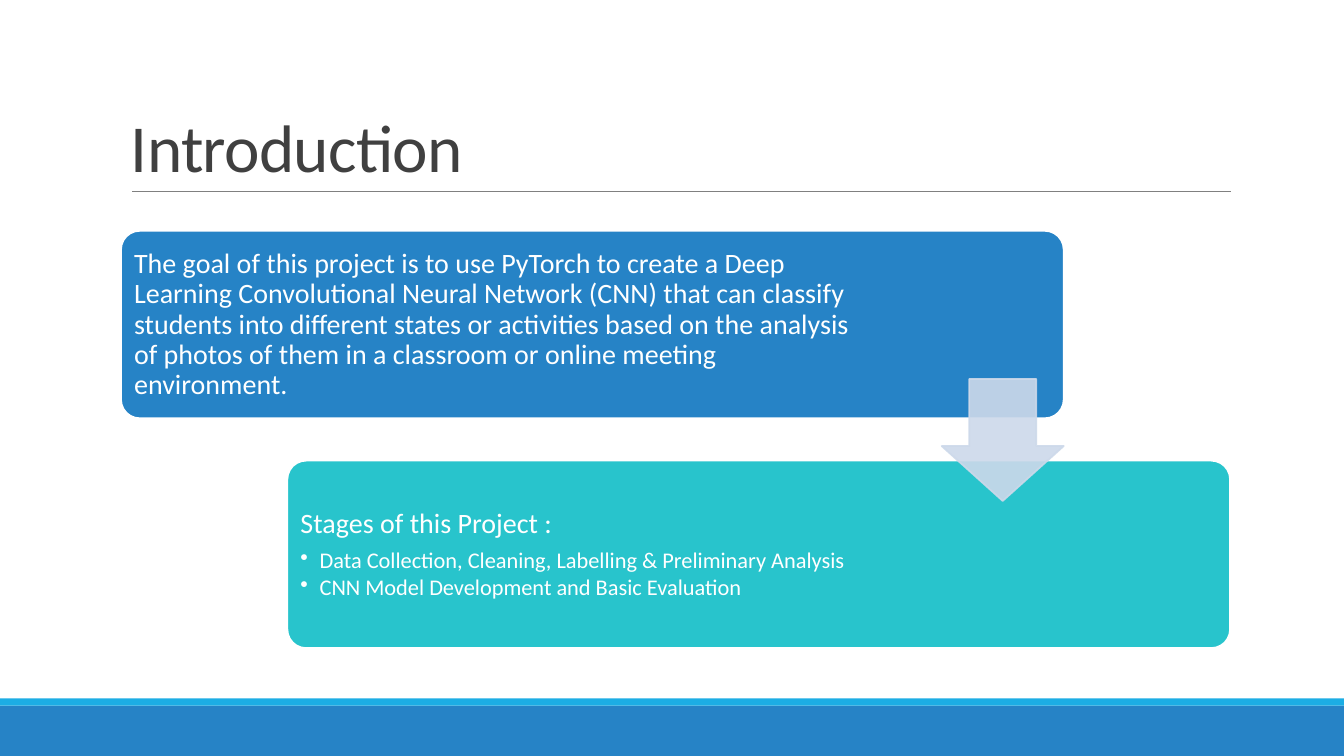
from lxml.etree import SubElement
from pptx import Presentation
from pptx.dml.color import RGBColor
from pptx.enum.shapes import MSO_CONNECTOR, MSO_SHAPE
from pptx.enum.text import MSO_ANCHOR, PP_ALIGN
from pptx.oxml.ns import qn
from pptx.util import Inches, Pt

COLORS = {
    "blue": "2683C6",
    "sky": "1CADE4",
    "teal": "28C4CC",
    "arrow": "CDD9EA",
    "rule": "808080",
    "title": "404040",
    "white": "FFFFFF",
}
GOAL = (
    "The goal of this project is to use PyTorch to create a Deep Learning "
    "Convolutional Neural Network (CNN) that can classify students into "
    "different states or activities based on the analysis of photos of them "
    "in a classroom or online meeting environment."
)
STAGES = [
    "Data Collection, Cleaning, Labelling & Preliminary Analysis",
    "CNN Model Development and Basic Evaluation",
]


def color(name):
    """Return the named colour."""
    return RGBColor.from_string(COLORS[name])


def add_block(page, kind, place, fill, line=None, adjust=()):
    """Add a filled preset shape, with an outline if a line colour is given."""
    block = page.shapes.add_shape(kind, *map(Inches, place))
    block.shadow.inherit = False
    block.fill.solid()
    block.fill.fore_color.rgb = color(fill)
    if line:
        block.line.color.rgb = color(line)
        block.line.width = Pt(1.25)
    else:
        block.line.fill.background()
    for index, value in enumerate(adjust):
        block.adjustments[index] = value
    return block


def add_rule(page, left, right, top):
    """Add the thin horizontal line below the title."""
    rule = page.shapes.add_connector(
        MSO_CONNECTOR.STRAIGHT, *map(Inches, (left, top, right, top)))
    rule.line.color.rgb = color("rule")
    rule.line.width = Pt(0.5)
    SubElement(rule._element.spPr, qn("a:effectLst"))


def add_text_box(page, place, anchor, inset=None):
    """Add a wrapping text box and return its text frame."""
    frame = page.shapes.add_textbox(*map(Inches, place)).text_frame
    frame.word_wrap = True
    frame.vertical_anchor = anchor
    if inset is not None:
        frame.margin_left = frame.margin_right = Inches(inset)
        frame.margin_top = frame.margin_bottom = Inches(inset)
    return frame


def write(para, text, size, ink="white", spacing=0.9, after=0):
    """Fill a paragraph with left-aligned text in one style."""
    para.text = text
    para.alignment = PP_ALIGN.LEFT
    para.line_spacing = spacing
    para.space_after = Pt(after)
    para.font.name = "Calibri"
    para.font.size = Pt(size)
    para.font.color.rgb = color(ink)


def add_bullet(para, indent):
    """Give a paragraph a round bullet with a hanging indent."""
    settings = para._p.get_or_add_pPr()
    settings.set("marL", str(Inches(indent)))
    settings.set("indent", str(-Inches(indent)))
    bullet = settings.makeelement(qn("a:buChar"), {"char": "•"})
    settings.insert_element_before(
        bullet, "a:tabLst", "a:defRPr", "a:extLst")


def set_opacity(block, percent):
    """Make the fill and outline of a shape partly transparent."""
    for tint in block._element.spPr.iter(qn("a:srgbClr")):
        SubElement(tint, qn("a:alpha"), val=str(percent * 1000))


def add_title(page, text):
    """Add the slide title, with slightly tightened letters."""
    frame = add_text_box(page, (1.2, 0.31, 11, 1.59), MSO_ANCHOR.BOTTOM)
    para = frame.paragraphs[0]
    write(para, text, 48, "title", 0.85)
    for span in para.runs:
        span._r.get_or_add_rPr().set("spc", "-50")


def add_card(page, left, top, fill, text_width, heading, bullets=()):
    """Add a rounded card with a heading and optional bullets."""
    add_block(page, MSO_SHAPE.ROUNDED_RECTANGLE, (left, top, 9.35, 1.86),
              fill, "white", [0.1])
    frame = add_text_box(page, (left + 0.05, top + 0.06, text_width, 1.75),
                         MSO_ANCHOR.MIDDLE, 0.08)
    write(frame.paragraphs[0], heading, 20, after=7)
    for bullet in bullets:
        para = frame.add_paragraph()
        para.level = 1
        write(para, bullet, 16, after=2.4)
        add_bullet(para, 0.19)


def main():
    """Build the introduction slide and save it."""
    deck = Presentation()
    deck.slide_width, deck.slide_height = Inches(13.33), Inches(7.5)
    page = deck.slides.add_slide(deck.slide_layouts[6])

    add_block(page, MSO_SHAPE.RECTANGLE, (0, 7, 13.33, 0.5), "blue")
    add_block(page, MSO_SHAPE.RECTANGLE, (0, 6.93, 13.33, 0.07), "sky")
    add_rule(page, 1.31, 12.21, 1.9)
    add_title(page, "Introduction")

    add_card(page, 1.2, 2.29, "blue", 7.42, GOAL)
    add_card(page, 2.85, 4.57, "teal", 6.38, "Stages of this Project :", STAGES)
    arrow = add_block(page, MSO_SHAPE.DOWN_ARROW, (9.34, 3.76, 1.21, 1.21),
                      "arrow", "arrow", [0.55, 0.45])
    # The preset lists the shaft width before the head length.
    arrow.adjustments[0], arrow.adjustments[1] = 0.55, 0.45
    set_opacity(arrow, 90)

    deck.save("out.pptx")


main()
